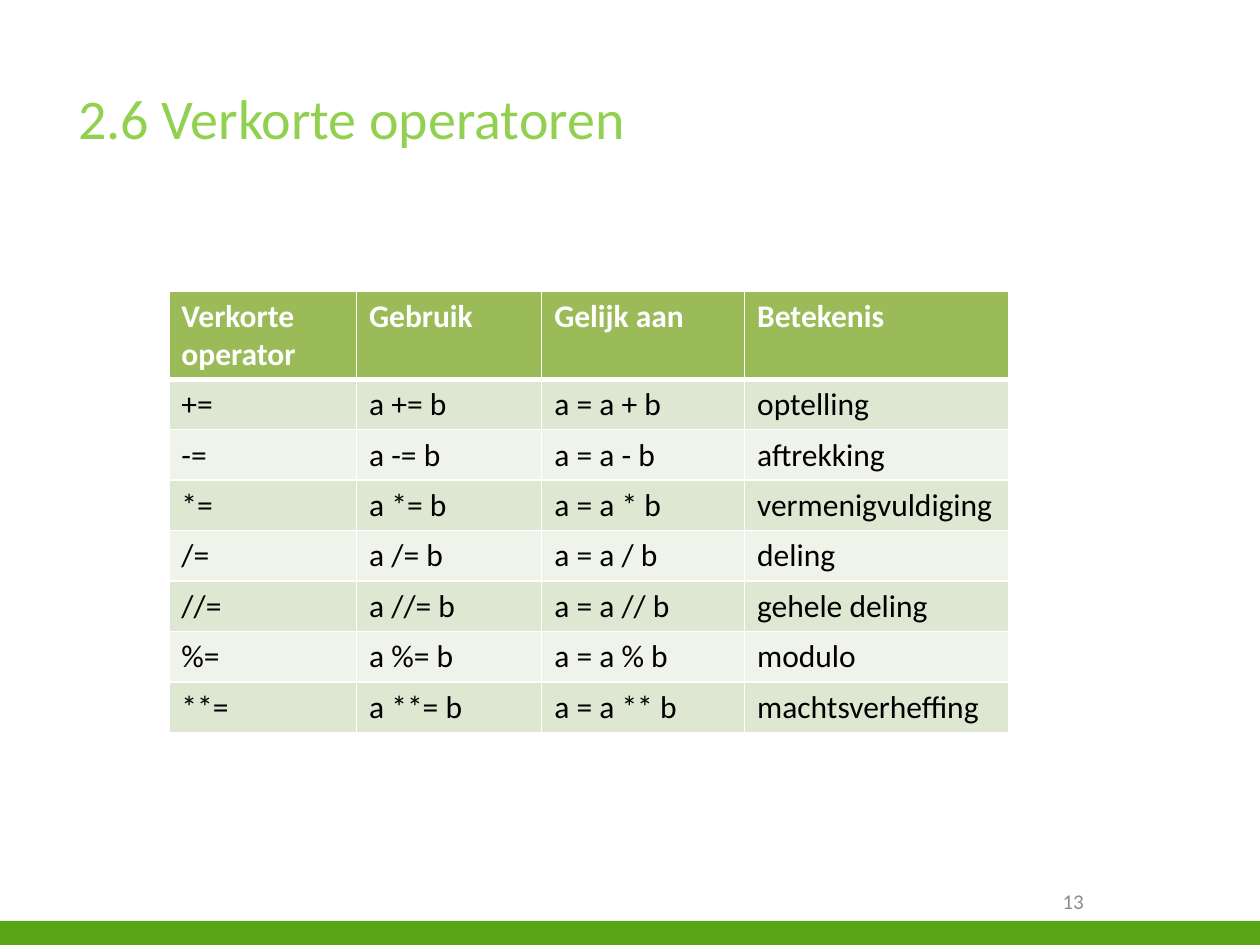
from dataclasses import dataclass

from lxml import etree
from pptx import Presentation
from pptx.dml.color import RGBColor
from pptx.enum.shapes import MSO_SHAPE
from pptx.enum.text import MSO_ANCHOR, MSO_AUTO_SIZE, PP_ALIGN
from pptx.oxml.ns import qn
from pptx.util import Inches, Pt

RECT = MSO_SHAPE.RECTANGLE
TOP, MIDDLE = MSO_ANCHOR.TOP, MSO_ANCHOR.MIDDLE
LEFT, RIGHT = PP_ALIGN.LEFT, PP_ALIGN.RIGHT
FIXED = MSO_AUTO_SIZE.NONE
TITLE_ONLY = 5


@dataclass(frozen=True)
class Theme:
    font: str = "Calibri"
    title: str = "92D050"
    bar: str = "58A618"
    number: str = "8C8C8C"
    head: str = "9BBB59"
    bands: tuple = ("DEE7D1", "EFF3EA")
    light: str = "FFFFFF"
    dark: str = "000000"
    title_size: int = 32
    cell_size: int = 18
    number_size: int = 12


class Deck:
    """Holds the theme and the current slide."""

    def __init__(self, theme):
        self.theme = theme
        self.file = Presentation()
        self.file.slide_width = Inches(10)
        self.file.slide_height = Inches(7.5)
        self.slide = self.file.slides.add_slide(self.file.slide_layouts[TITLE_ONLY])

    def add_text(self, frame, text, size, color, bold=False, align=LEFT):
        line = frame.paragraphs[0]
        line.alignment = align
        run = line.add_run()
        run.text = text
        run.font.name = self.theme.font
        run.font.size = Pt(size)
        run.font.bold = bold
        run.font.color.rgb = RGBColor.from_string(color)

    def title(self, text, left, top, width, height):
        box = self.slide.shapes.title
        box.left, box.top = Inches(left), Inches(top)
        box.width, box.height = Inches(width), Inches(height)
        frame = box.text_frame
        frame.auto_size = FIXED
        frame.vertical_anchor = TOP
        self.add_text(frame, text, self.theme.title_size, self.theme.title)

    def bar(self, left, top, width, height):
        shape = self.slide.shapes.add_shape(
            RECT, Inches(left), Inches(top), Inches(width), Inches(height))
        shape.shadow.inherit = False
        shape.fill.solid()
        shape.fill.fore_color.rgb = RGBColor.from_string(self.theme.bar)
        shape.line.fill.background()

    def number(self, text, left, top, width, height):
        box = self.slide.shapes.add_textbox(
            Inches(left), Inches(top), Inches(width), Inches(height))
        frame = box.text_frame
        frame.word_wrap = True
        frame.vertical_anchor = MIDDLE
        self.add_text(frame, text, self.theme.number_size, self.theme.number, align=RIGHT)

    def edge(self, cell, side, points):
        props = cell._tc.get_or_add_tcPr()
        line = etree.SubElement(props, qn(f"a:ln{side}"), w=str(Pt(points)))
        fill = etree.SubElement(line, qn("a:solidFill"))
        etree.SubElement(fill, qn("a:srgbClr"), val=self.theme.light)

    def table(self, rows, left, top, widths, heights):
        """Draw a header row over banded rows, with a thick rule between them."""
        theme = self.theme
        grid = self.slide.shapes.add_table(
            len(rows), len(widths), Inches(left), Inches(top),
            Inches(sum(widths)), Inches(sum(heights))).table
        for col, width in zip(grid.columns, widths):
            col.width = Inches(width)
        for r, (row, height) in enumerate(zip(rows, heights)):
            head = r == 0
            grid.rows[r].height = Inches(height)
            back = theme.head if head else theme.bands[(r - 1) % 2]
            edges = {"L": 1, "R": 1, "T": 3 if r == 1 else 1, "B": 3 if head else 1}
            for c, text in enumerate(row):
                cell = grid.cell(r, c)
                for side, points in edges.items():
                    self.edge(cell, side, points)
                cell.fill.solid()
                cell.fill.fore_color.rgb = RGBColor.from_string(back)
                color = theme.light if head else theme.dark
                self.add_text(cell.text_frame, text, theme.cell_size, color, bold=head)


def main():
    names = {
        "+": "optelling",
        "-": "aftrekking",
        "*": "vermenigvuldiging",
        "/": "deling",
        "//": "gehele deling",
        "%": "modulo",
        "**": "machtsverheffing",
    }
    rows = [("Verkorte operator", "Gebruik", "Gelijk aan", "Betekenis")]
    rows += [(f"{op}=", f"a {op}= b", f"a = a {op} b", name)
             for op, name in names.items()]

    deck = Deck(Theme())
    deck.bar(0, 7.31, 10, 0.2)
    deck.number("13", 7.17, 6.95, 1.53, 0.4)
    deck.title("2.6 Verkorte operatoren", 0.52, 0.61, 8.98, 1.61)
    deck.table(rows, 1.34, 2.31, (1.49, 1.47, 1.61, 2.1), [0.7] + [0.4] * len(names))
    deck.file.save("out.pptx")


if __name__ == "__main__":
    main()
